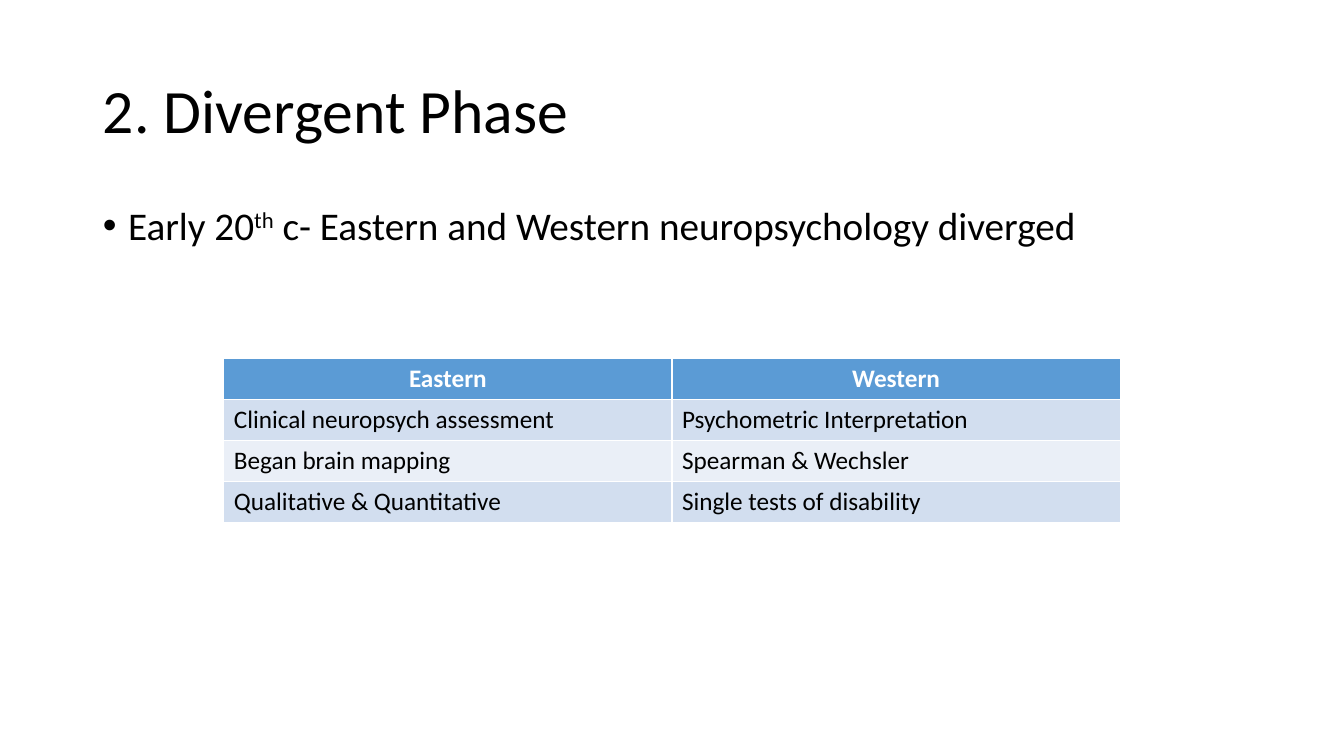
from pptx import Presentation
from pptx.dml.color import RGBColor
from pptx.enum.text import MSO_ANCHOR, PP_ALIGN
from pptx.util import Inches, Pt

FONT = "Calibri"
COLORS = {
    "text": "000000",
    "header_text": "FFFFFF",
    "header": "5B9BD5",
    "band_dark": "D2DEEF",
    "band_light": "EAEFF7",
}
PHASES = [
    ("Eastern", "Western"),
    ("Clinical neuropsych assessment", "Psychometric Interpretation"),
    ("Began brain mapping", "Spearman & Wechsler"),
    ("Qualitative & Quantitative", "Single tests of disability"),
]


def rgb(name):
    return RGBColor.from_string(COLORS[name])


def place(sp, left, top, width, height):
    sp.left, sp.top = Inches(left), Inches(top)
    sp.width, sp.height = Inches(width), Inches(height)


def format_runs(p, size, color="text", bold=False):
    for r in p.runs:
        r.font.name = FONT
        r.font.size = Pt(size)
        r.font.bold = bold
        r.font.color.rgb = rgb(color)


def add_title(s, text):
    title = s.shapes.title
    place(title, 0.92, 0.4, 11.5, 1.45)
    tf = title.text_frame
    tf.text = text
    tf.vertical_anchor = MSO_ANCHOR.MIDDLE
    p = tf.paragraphs[0]
    p.alignment = PP_ALIGN.LEFT
    p.line_spacing = 0.9
    format_runs(p, 44)


def add_bullet(s, parts):
    """Fill the body with one bullet made of (text, is_superscript) parts."""
    body = s.placeholders[1]
    place(body, 0.92, 2, 11.5, 4.76)
    p = body.text_frame.paragraphs[0]
    p.line_spacing = 0.9
    p.space_before = Pt(10)
    pPr = p._p.get_or_add_pPr()
    pPr.set("marL", str(Inches(0.25)))
    pPr.set("indent", str(-Inches(0.25)))
    for text, is_superscript in parts:
        r = p.add_run()
        r.text = text
        if is_superscript:
            r._r.get_or_add_rPr().set("baseline", "30000")
    format_runs(p, 28)


def add_phase_table(s, rows):
    """Add the comparison table; its default style draws the white borders."""
    frame = s.shapes.add_table(
        len(rows), len(rows[0]),
        Inches(2.22), Inches(3.56), Inches(8.89), Inches(1.62))
    for i, row in enumerate(rows):
        is_header = i == 0
        fill = "header" if is_header else "band_dark" if i % 2 else "band_light"
        for j, text in enumerate(row):
            cell = frame.table.cell(i, j)
            cell.fill.solid()
            cell.fill.fore_color.rgb = rgb(fill)
            cell.text = text
            p = cell.text_frame.paragraphs[0]
            p.alignment = PP_ALIGN.CENTER if is_header else PP_ALIGN.LEFT
            format_runs(p, 18, "header_text" if is_header else "text", is_header)


def main():
    prs = Presentation()
    prs.slide_width, prs.slide_height = Inches(13.33), Inches(7.5)
    s = prs.slides.add_slide(prs.slide_layouts[1])
    add_title(s, "2. Divergent Phase")
    add_bullet(s, [
        ("Early 20", False),
        ("th", True),
        (" c- Eastern and Western neuropsychology diverged", False),
    ])
    add_phase_table(s, PHASES)
    prs.save("out.pptx")


if __name__ == "__main__":
    main()
